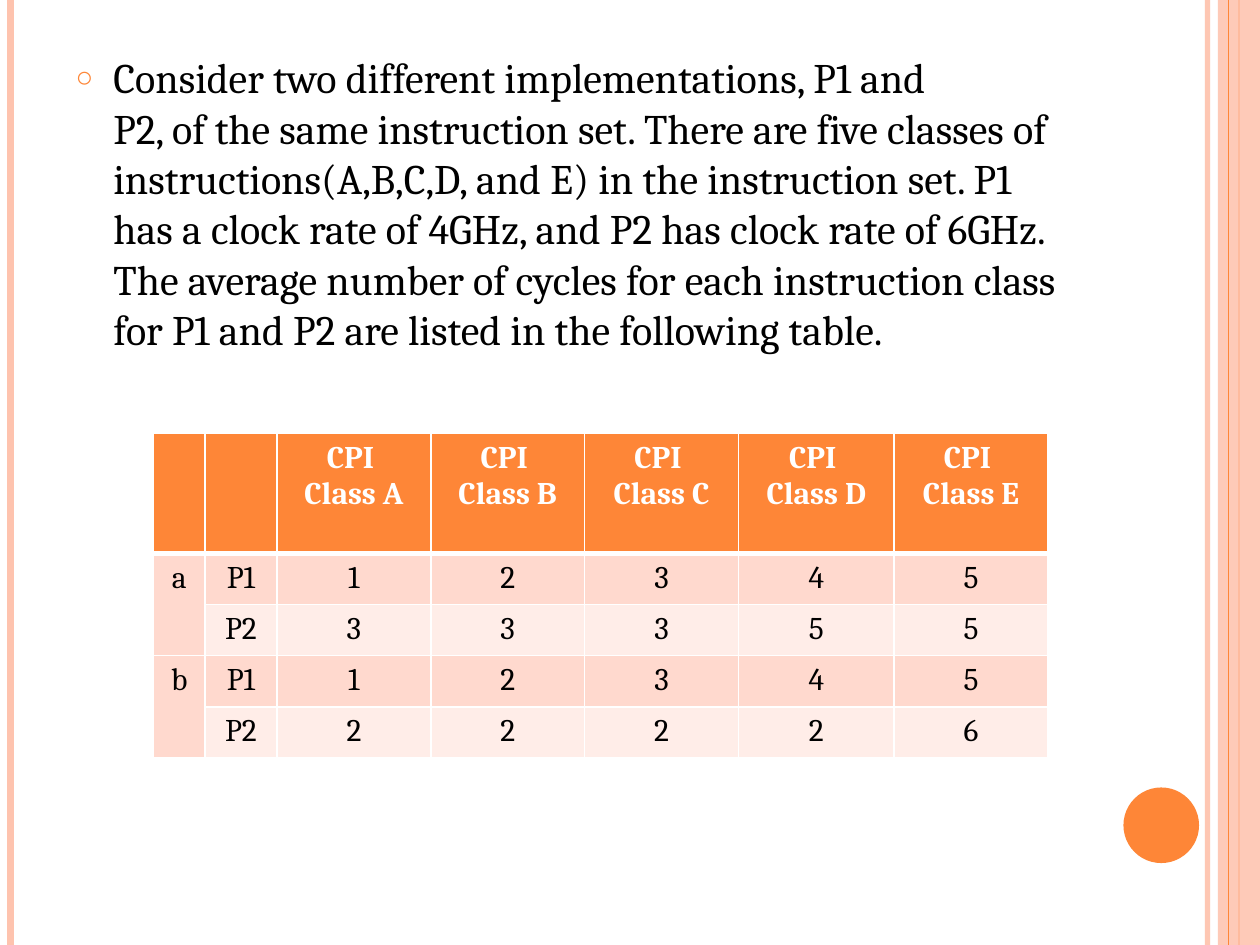
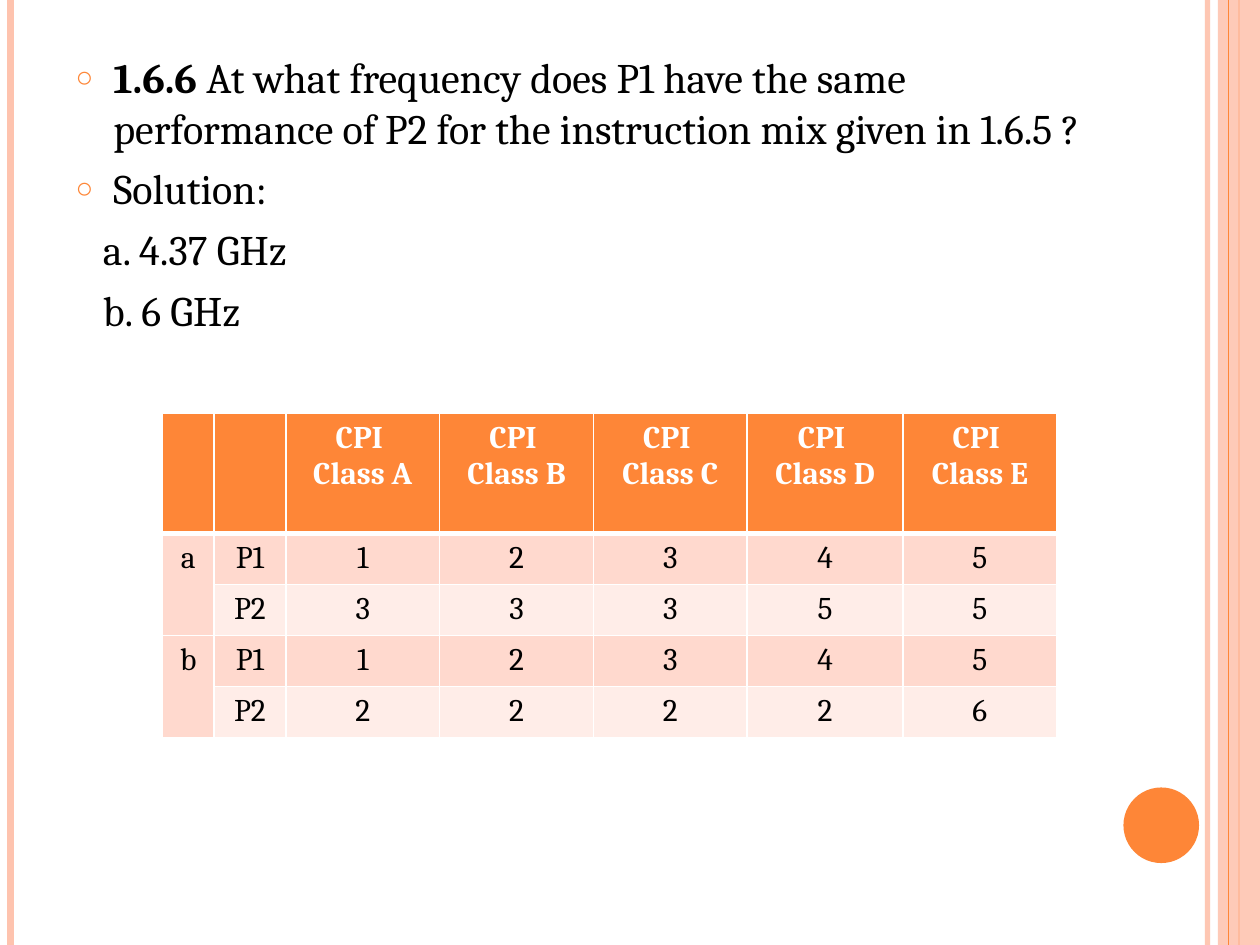
from lxml import etree
from pptx import Presentation
from pptx.dml.color import RGBColor
from pptx.enum.shapes import MSO_CONNECTOR, MSO_SHAPE
from pptx.enum.text import MSO_ANCHOR, PP_ALIGN
from pptx.oxml.ns import qn
from pptx.util import Pt

STRAIGHT = MSO_CONNECTOR.STRAIGHT
RECTANGLE, OVAL = MSO_SHAPE.RECTANGLE, MSO_SHAPE.OVAL
CENTER, TOP = PP_ALIGN.CENTER, MSO_ANCHOR.TOP

# Shared style
SLIDE_W, SLIDE_H = 720, 540
FONT = "Cambria"
ORANGE, PEACH, WHITE, BLACK = "FE8637", "FEC3AE", "FFFFFF", "000000"
DARK_BAND, LIGHT_BAND = "FFD9CE", "FFEDE8"
BODY_BOX = (36, 25.92, 588.24, 483.84)
BODY_SIZE, TABLE_SIZE = 24, 18
BULLET_INDENT, ANSWER_INDENT = 21.6, 15.6

# Table content
COLUMN_WIDTHS = (29.3, 41.2, 87.9, 87.9, 87.9, 89, 87.9)
HEADER_HEIGHT, ROW_HEIGHT = 68.6, 29.2
HEADERS = ["", ""] + [f"CPI \nClass {letter}" for letter in "ABCDE"]
CPI_ROWS = [
    ["a", "P1", "1", "2", "3", "4", "5"],
    ["", "P2", "3", "3", "3", "5", "5"],
    ["b", "P1", "1", "2", "3", "4", "5"],
    ["", "P2", "2", "2", "2", "2", "6"],
]


def rgb(code):
    return RGBColor.from_string(code)


def style_font(font, size, color, bold=False):
    font.name, font.size, font.bold = FONT, Pt(size), bold
    font.color.rgb = rgb(color)


def set_alpha(part, percent):
    color = next(part._element.spPr.iter(qn("a:srgbClr")))
    etree.SubElement(color, qn("a:alpha"), val=str(percent * 1000))


# Side bands and corner disc
def add_rule(slide, x, color, weight):
    rule = slide.shapes.add_connector(STRAIGHT, Pt(x), 0, Pt(x), Pt(SLIDE_H))
    rule.line.color.rgb = rgb(color)
    rule.line.width = Pt(weight)
    etree.SubElement(rule._element.spPr, qn("a:effectLst"))
    return rule


def add_solid(slide, kind, box, color):
    solid = slide.shapes.add_shape(kind, *map(Pt, box))
    solid.shadow.inherit = False
    solid.fill.solid()
    solid.fill.fore_color.rgb = rgb(color)
    solid.line.fill.background()
    return solid


def add_frame(slide):
    set_alpha(add_rule(slide, 690, PEACH, 3), 93)
    add_rule(slide, 6, PEACH, 4.5)
    add_rule(slide, 708, ORANGE, 1.5)
    set_alpha(add_solid(slide, RECTANGLE, (696, 0, SLIDE_W - 696, SLIDE_H), PEACH), 87)
    add_rule(slide, 702, ORANGE, 0.75)
    add_solid(slide, OVAL, (642, 450, 43.2, 43.2), ORANGE)


# Body text
def set_bullet(paragraph, bulleted):
    props = paragraph._p.get_or_add_pPr()
    left = BULLET_INDENT if bulleted else ANSWER_INDENT
    props.set("marL", str(Pt(left)))
    props.set("indent", str(Pt(-left) if bulleted else 0))
    if bulleted:
        color = etree.SubElement(props, qn("a:buClr"))
        etree.SubElement(color, qn("a:srgbClr"), val=ORANGE)
        etree.SubElement(props, qn("a:buSzPct"), val="70000")
        etree.SubElement(props, qn("a:buChar"), char="○")
    else:
        etree.SubElement(props, qn("a:buNone"))


def fill_body(body, box, lines):
    """Each line is (bulleted, bold lead, text)."""
    body.left, body.top, body.width, body.height = map(Pt, box)
    frame = body.text_frame
    frame.word_wrap = True
    frame.vertical_anchor = TOP
    frame.text = "\n".join(text for _, _, text in lines)
    for index, (paragraph, (bulleted, lead, text)) in enumerate(
            zip(frame.paragraphs, lines)):
        set_bullet(paragraph, bulleted)
        paragraph.space_before = Pt(6 if index else 0)
        if lead:
            paragraph.text = lead
            paragraph.add_run().text = text
        for run in paragraph.runs:
            style_font(run.font, BODY_SIZE, BLACK, bold=run.text == lead)


# CPI table
def set_borders(cell, top, bottom):
    props = cell._tc.get_or_add_tcPr()
    for side, weight in (("L", 1), ("R", 1), ("T", top), ("B", bottom)):
        border = etree.SubElement(props, qn(f"a:ln{side}"), w=str(Pt(weight)))
        fill = etree.SubElement(border, qn("a:solidFill"))
        etree.SubElement(fill, qn("a:srgbClr"), val=WHITE)


def fill_cell(cell, text, row):
    header = row == 0
    set_borders(cell, top=3 if row == 1 else 1, bottom=3 if header else 1)
    cell.fill.solid()
    band = DARK_BAND if row % 2 else LIGHT_BAND
    cell.fill.fore_color.rgb = rgb(ORANGE if header else band)
    cell.text_frame.text = text
    for paragraph in cell.text_frame.paragraphs:
        paragraph.alignment = CENTER
        style_font(paragraph.font, TABLE_SIZE, WHITE if header else BLACK, header)
        for run in paragraph.runs:
            style_font(run.font, TABLE_SIZE, WHITE if header else BLACK, header)


def add_cpi_table(slide, left, top):
    rows = [HEADERS] + CPI_ROWS
    heights = [HEADER_HEIGHT] + [ROW_HEIGHT] * len(CPI_ROWS)
    table = slide.shapes.add_table(
        len(rows), len(HEADERS), Pt(left), Pt(top),
        Pt(sum(COLUMN_WIDTHS)), Pt(sum(heights))).table
    table.horz_banding = False
    for column, width in zip(table.columns, COLUMN_WIDTHS):
        column.width = Pt(width)
    for row, height in zip(table.rows, heights):
        row.height = Pt(height)
    for r, values in enumerate(rows):
        for c, value in enumerate(values):
            fill_cell(table.cell(r, c), value, r)
    for r in (1, 3):
        table.cell(r, 0).merge(table.cell(r + 1, 0))


def add_problem_slide(deck, lines, table_at):
    slide = deck.slides.add_slide(deck.slide_layouts[1])
    title = slide.shapes.title._element
    title.getparent().remove(title)
    add_frame(slide)
    fill_body(slide.placeholders[1], BODY_BOX, lines)
    add_cpi_table(slide, *table_at)


def main():
    deck = Presentation()
    deck.slide_width, deck.slide_height = Pt(SLIDE_W), Pt(SLIDE_H)
    add_problem_slide(deck, [
        (True, "", "Consider two different implementations, P1 and\vP2, of the same "
                   "instruction set. There are five classes of "
                   "instructions(A,B,C,D, and E) in the instruction set. P1 has a "
                   "clock rate of 4GHz, and P2 has clock rate of 6GHz. The average "
                   "number of cycles for each instruction class for P1 and P2 are "
                   "listed in the following table."),
    ], (87.84, 247.7))
    add_problem_slide(deck, [
        (True, "1.6.6", " At what frequency does P1 have the same performance of P2 "
                        "for the instruction mix given in 1.6.5 ?"),
        (True, "", "Solution:"),
        (False, "", "a. 4.37 GHz"),
        (False, "", "b. 6 GHz"),
    ], (92.88, 236.2))
    deck.save("out.pptx")


if __name__ == "__main__":
    main()
